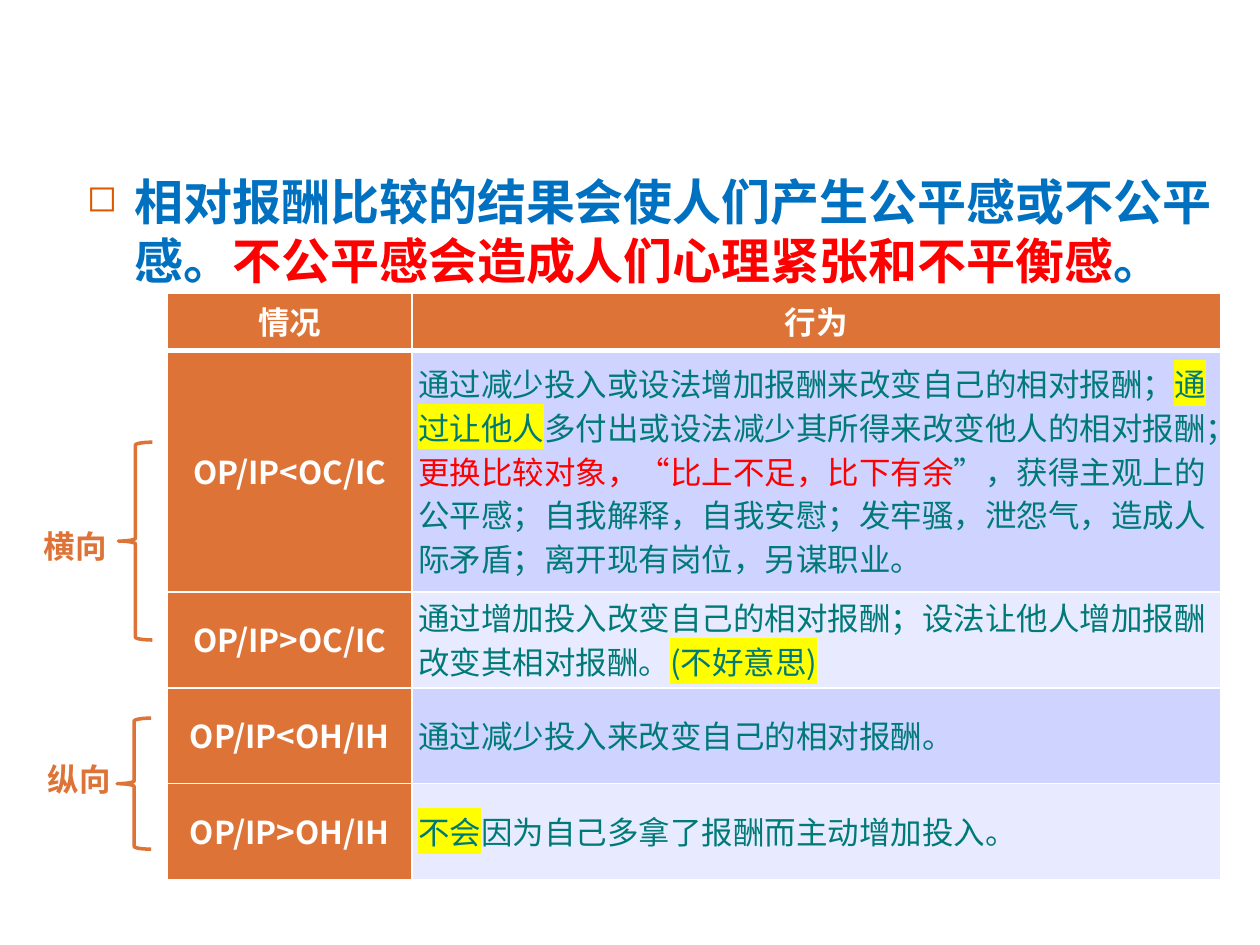
import pptx
import pptx.util
import pptx.dml.color
import pptx.enum.shapes
import pptx.enum.text
import pptx.oxml

Inches, Pt = pptx.util.Inches, pptx.util.Pt
ALIGN = pptx.enum.text.PP_ALIGN
MIDDLE = pptx.enum.text.MSO_ANCHOR.MIDDLE
BRACE = pptx.enum.shapes.MSO_SHAPE.LEFT_BRACE
CJK = "Noto Sans CJK SC"
ORANGE, WHITE, BLUE, RED = "DE7337", "FFFFFF", "0070C0", "FF0000"
TEAL, YELLOW = "007A77", "FFFF00"
BANDS = ["CED3FF", "E8EAFF"]

# A run is (text, colour, highlight); a plain string takes the default colour.
TITLE = [
    "相对报酬比较的结果会使人们产生公平感或不公平感。",
    ("不公平感会造成人们心理紧张和不平衡感", RED, None),
    "。",
]
HEAD = ["情况", "行为"]
CASES = [
    ("OP/IP<OC/IC", [
        "通过减少投入或设法增加报酬来改变自己的相对报酬；",
        ("通过让他人", TEAL, YELLOW),
        "多付出或设法减少其所得来改变他人的相对报酬；",
        ("更换比较对象，“比上不足，比下有余", RED, None),
        "”，获得主观上的公平感；自我解释，自我安慰；发牢骚，泄怨气，"
        "造成人际矛盾；离开现有岗位，另谋职业。",
    ]),
    ("OP/IP>OC/IC", [
        "通过增加投入改变自己的相对报酬；设法让他人增加报酬改变其相对报酬。",
        ("(不好意思)", TEAL, YELLOW),
    ]),
    ("OP/IP<OH/IH", ["通过减少投入来改变自己的相对报酬。"]),
    ("OP/IP>OH/IH", [
        ("不会", TEAL, YELLOW),
        "因为自己多拿了报酬而主动增加投入。",
    ]),
]
COLS = [1.94, 6.42]
ROWS = [0.45, 1.92, 0.76, 0.76, 0.76]
# label, its left and top, then the brace's left, top and height
GROUPS = [
    ("横向", 0.25, 4.13, 0.94, 3.51, 1.57),
    ("纵向", 0.28, 5.98, 0.93, 5.7, 1.04),
]


def rgb(code):
    return pptx.dml.color.RGBColor.from_string(code)


def node(tag, **attrs):
    """Make an element in the drawing namespace."""
    item = pptx.oxml.parse_xml(
        f'<a:{tag} xmlns:a="http://schemas.openxmlformats.org/drawingml/2006/main"/>')
    for key, value in attrs.items():
        item.set(key, str(value))
    return item


def tint(tag, code):
    """Make an element that holds one plain colour."""
    item = node(tag)
    item.append(node("srgbClr", val=code))
    return item


def write(frame, runs, size=18, font="Arial", color=WHITE, bold=True,
          align=ALIGN.LEFT, space=None):
    para = frame.paragraphs[0]
    para.alignment = align
    if space:
        para.line_spacing = Pt(space)
    for part in [runs] if isinstance(runs, str) else runs:
        text, ink, mark = (part, color, None) if isinstance(part, str) else part
        run = para.add_run()
        run.text = text
        run.font.size, run.font.bold = Pt(size), bold
        run.font.color.rgb = rgb(ink)
        props = run.font._element
        if mark:
            props.append(tint("highlight", mark))
        for tag in ("latin", "ea"):
            props.append(node(tag, typeface=font))
    return para


def box(slide, left, top, width, height, wrap):
    frame = slide.shapes.add_textbox(*map(Inches, (left, top, width, height))).text_frame
    frame.word_wrap = wrap
    return frame


def edge(cell, low):
    """Draw white cell borders; low is the width of the bottom one."""
    props = cell._tc.get_or_add_tcPr()
    for spot, (tag, width) in enumerate(
            [("lnL", 1), ("lnR", 1), ("lnT", 1), ("lnB", low)]):
        line = node(tag, w=Pt(width))
        line.append(tint("solidFill", WHITE))
        props.insert(spot, line)


def title(slide):
    # Narrow enough that the first line breaks before its last character and stop.
    para = write(box(slide, 0.59, 1.31, 9.35, 0.79, True), TITLE, size=28, color=BLUE)
    para.space_before = Pt(3)
    props = para._p.get_or_add_pPr()
    props.set("marL", str(Inches(0.38)))
    props.set("indent", str(-Inches(0.38)))
    props.append(tint("buClr", "DC5900"))
    props.append(node("buSzPct", val=75000))
    props.append(node("buChar", char="◻"))


def grid(slide):
    table = slide.shapes.add_table(
        len(ROWS), len(COLS), Inches(1.33), Inches(2.33),
        Inches(sum(COLS)), Inches(sum(ROWS))).table
    for col, width in zip(table.columns, COLS):
        col.width = Inches(width)
    for row, height in zip(table.rows, ROWS):
        row.height = Inches(height)
    for r, line in enumerate([HEAD, *CASES]):
        for c, runs in enumerate(line):
            cell = table.cell(r, c)
            body = r > 0 and c > 0
            cell.vertical_anchor = MIDDLE
            cell.margin_left = cell.margin_right = Inches(0.05)
            cell.margin_top = cell.margin_bottom = 0
            cell.fill.solid()
            cell.fill.fore_color.rgb = rgb(BANDS[(r - 1) % 2] if body else ORANGE)
            edge(cell, 1 if r else 3)
            write(cell.text_frame, runs, font=CJK, space=25, bold=not body,
                  color=TEAL if body else WHITE,
                  align=ALIGN.LEFT if body else ALIGN.CENTER)


def group(slide, label, left, top, x, y, height):
    brace = slide.shapes.add_shape(BRACE, *map(Inches, (x, y, 0.27, height)))
    brace.shadow.inherit = False
    brace.fill.background()
    brace.line.color.rgb = rgb(ORANGE)
    brace.line.width = Pt(2)
    write(box(slide, left, top, 0.71, 0.4, False), label, color=ORANGE)


def main():
    deck = pptx.Presentation()
    deck.slide_width, deck.slide_height = Inches(10), Inches(7.5)
    slide = deck.slides.add_slide(deck.slide_layouts[6])
    title(slide)
    grid(slide)
    for item in GROUPS:
        group(slide, *item)
    deck.save("out.pptx")


if __name__ == "__main__":
    main()
